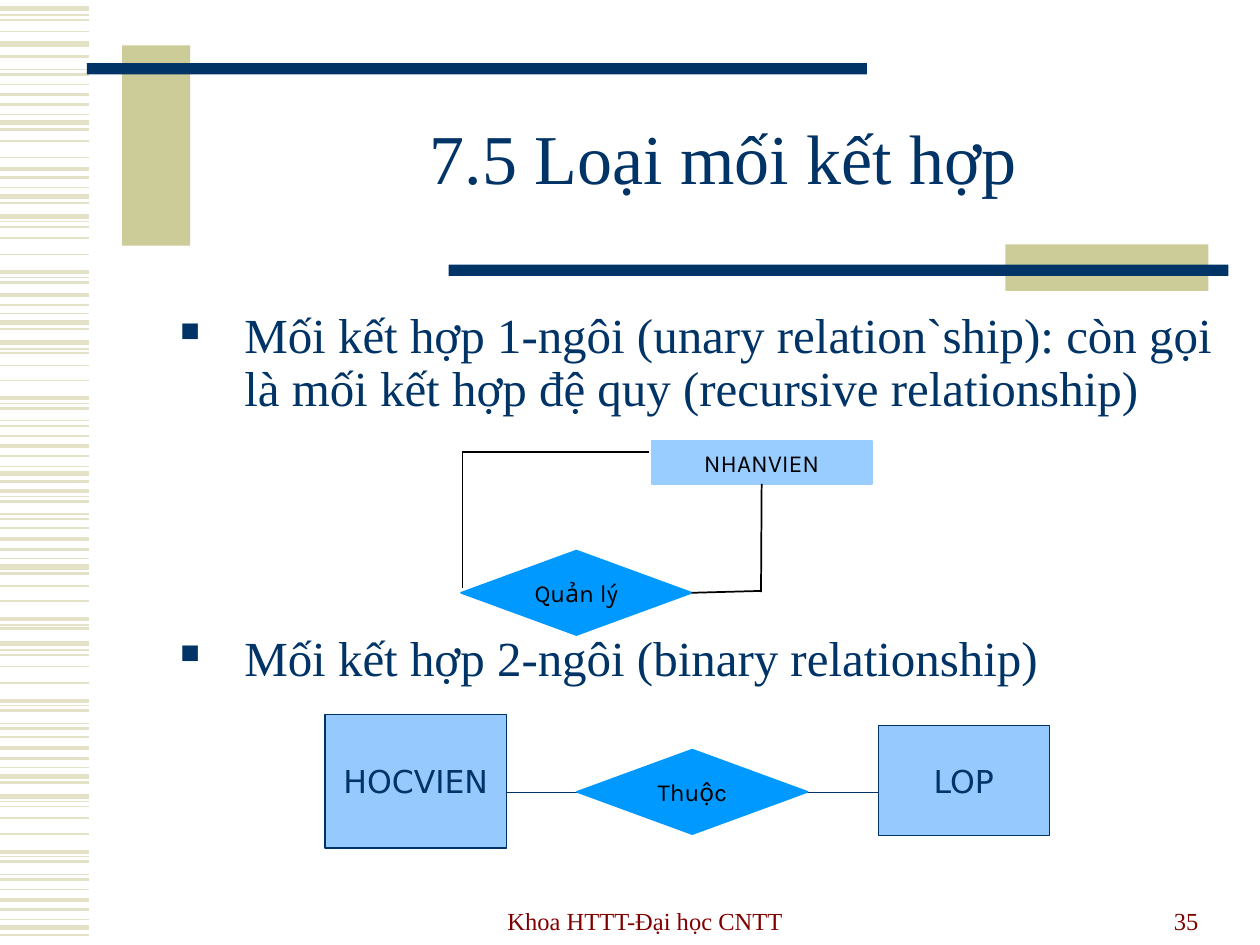
from lxml.etree import SubElement
from pptx import Presentation
from pptx.dml.color import RGBColor
from pptx.enum.shapes import MSO_CONNECTOR, MSO_SHAPE as Shape
from pptx.enum.text import MSO_ANCHOR as Anchor, PP_ALIGN as Align
from pptx.oxml.ns import qn
from pptx.util import Inches, Pt

NAVY, KHAKI, STRIPE, BLACK = "003366", "CCCC99", "E3E2C7", "000000"
ENTITY, PALE, DIAMOND, MAROON = "96CAFF", "99CCFF", "0099FF", "800000"
SERIF = "Times New Roman"

# Line weight in points -> heights of the stripes down the left edge
STRIPES = {
    0.75: [0.12, 0.55, 0.91, 1.49, 1.76, 2.2, 2.49, 2.77, 3.2, 3.34, 3.7, 3.94,
           4.08, 4.43, 4.96, 5.16, 5.6, 5.74, 6.09, 6.36, 6.8, 6.94, 7.3],
    1: [0.16, 0.25, 0.67, 1.12, 1.25, 1.8, 1.89, 2.02, 2.8, 2.9, 3.02, 3.46,
        4.19, 4.65, 4.77, 5.2, 5.29, 5.42, 5.85, 6.4, 6.49, 6.62, 7.06],
    1.5: [0.45, 0.59, 0.83, 1.03, 1.41, 1.61, 2.24, 2.42, 2.61, 3.24, 3.38,
          3.62, 3.82, 3.98, 4.12, 4.36, 4.55, 4.99, 5.64, 5.78, 6.02, 6.21,
          6.84, 6.98, 7.22, 7.42],
    2.25: [0.75, 1.34, 2.16, 2.34, 3.16, 3.54, 3.9, 4.28, 4.91, 5.56, 5.94,
           6.76, 7.14],
    3: [0.07, 0.35, 0.97, 1.56, 1.72, 2.56, 2.72, 3.76, 4.5, 5.11, 6.16, 6.32,
        7.36],
}


def rgb(value):
    return RGBColor.from_string(value)


def add_line(s, start, end, color, weight):
    line = s.shapes.add_connector(
        MSO_CONNECTOR.STRAIGHT, *(Inches(v) for v in (*start, *end)))
    line.line.color.rgb = rgb(color)
    line.line.width = Pt(weight)
    SubElement(line._element.spPr, qn("a:effectLst"))
    return line


def write(p, text, size, color, font=SERIF, **layout):
    for name, value in layout.items():
        setattr(p, name, value)
    r = p.add_run()
    r.text = text
    for name, value in {"size": Pt(size), "name": font}.items():
        setattr(r.font, name, value)
    r.font.color.rgb = rgb(color)


def add_box(s, kind, at, fill, line=None, weight=1):
    sp = s.shapes.add_shape(kind, *map(Inches, at))
    sp.shadow.inherit = False
    sp.fill.solid()
    sp.fill.fore_color.rgb = rgb(fill)
    if line:
        sp.line.color.rgb = rgb(line)
        sp.line.width = Pt(weight)
    else:
        sp.line.fill.background()
    return sp


def label(sp, text, size, color, font):
    """Centre one line of text in a diagram shape."""
    tf = sp.text_frame
    tf.word_wrap = False
    tf.vertical_anchor = Anchor.MIDDLE
    write(tf.paragraphs[0], text, size, color, font, alignment=Align.CENTER)


def add_entity(s, at, text):
    label(add_box(s, Shape.RECTANGLE, at, ENTITY, NAVY, 0.75),
          text, 18, NAVY, "DejaVu Sans")


def add_small(s, kind, at, fill, text):
    sp = add_box(s, kind, at, fill, fill)
    label(sp, text, 14, BLACK, "Karla")
    return sp


def add_text(s, at, anchor):
    tf = s.shapes.add_textbox(*map(Inches, at)).text_frame
    tf.word_wrap = True
    tf.vertical_anchor = anchor
    return tf


def add_bullet(p, text, space_before):
    write(p, text, 28, NAVY, line_spacing=0.9, space_before=Pt(space_before))
    pPr = p._p.get_or_add_pPr()
    pPr.set("marL", str(Inches(0.95)))
    pPr.set("indent", str(Inches(-0.51)))
    SubElement(SubElement(pPr, qn("a:buClr")), qn("a:srgbClr"), val=NAVY)
    SubElement(pPr, qn("a:buSzPct"), val="55000")
    SubElement(pPr, qn("a:buChar"), char="■")


def add_decoration(s):
    for weight, heights in STRIPES.items():
        for y in heights:
            add_line(s, (0, y), (0.71, y), STRIPE, weight)
    for at, fill in (((0.97, 0.36, 0.54, 1.59), KHAKI),
                     ((0.69, 0.5, 6.19, 0.09), NAVY),
                     ((7.98, 1.94, 1.61, 0.37), KHAKI),
                     ((3.56, 2.1, 6.19, 0.09), NAVY)):
        add_box(s, Shape.RECTANGLE, at, fill)


def add_texts(s):
    for at, text, align in (
            ((3.43, 6.97, 3.38, 0.5), "Khoa HTTT-Đại học CNTT", Align.CENTER),
            ((7.21, 6.97, 2.4, 0.5), "35", Align.RIGHT)):
        tf = add_text(s, at, Anchor.BOTTOM)
        write(tf.paragraphs[0], text, 14, MAROON, alignment=align)
    tf = add_text(s, (1.48, 0.67, 8.52, 1.25), Anchor.MIDDLE)
    write(tf.paragraphs[0], "7.5 Loại mối kết hợp", 40, NAVY,
          alignment=Align.CENTER, line_spacing=0.85)
    tf = add_text(s, (0.89, 2.42, 9.11, 4.24), Anchor.TOP)
    add_bullet(tf.paragraphs[0], "Mối kết hợp 1-ngôi (unary relation`ship): còn gọi "
               "là mối kết hợp đệ quy (recursive relationship)", 7)
    add_bullet(tf.add_paragraph(), "Mối kết hợp 2-ngôi (binary relationship)", 124)


def add_unary_diagram(s):
    employee = add_small(s, Shape.RECTANGLE, (5.17, 3.5, 1.75, 0.34), PALE, "NHANVIEN")
    manages = add_small(s, Shape.FLOWCHART_DECISION, (3.66, 4.37, 1.83, 0.67),
                        DIAMOND, "Quản lý")
    add_line(s, (5.15, 3.59), (3.67, 3.59), BLACK, 1)
    add_line(s, (3.67, 4.67), (3.67, 3.59), BLACK, 1)
    down = add_line(s, (6.04, 3.84), (6.04, 4.7), BLACK, 1)
    down.begin_connect(employee, 2)
    back = add_line(s, (6.04, 4.69), (5.49, 4.7), BLACK, 1)
    back.end_connect(manages, 3)


def add_binary_diagram(s):
    add_entity(s, (2.58, 5.67, 1.44, 1.06), "HOCVIEN")
    add_entity(s, (6.97, 5.76, 1.36, 0.87), "LOP")
    for x in (4.02, 6.29):
        add_line(s, (x, 6.29), (x + 0.68, 6.29), NAVY, 0.75)
    add_small(s, Shape.FLOWCHART_DECISION, (4.58, 5.95, 1.83, 0.67), DIAMOND, "Thuộc")


def main():
    prs = Presentation()
    prs.slide_width, prs.slide_height = Inches(10), Inches(7.5)
    s = prs.slides.add_slide(prs.slide_layouts[6])
    add_decoration(s)
    add_texts(s)
    add_unary_diagram(s)
    add_binary_diagram(s)
    prs.save("out.pptx")


if __name__ == "__main__":
    main()
